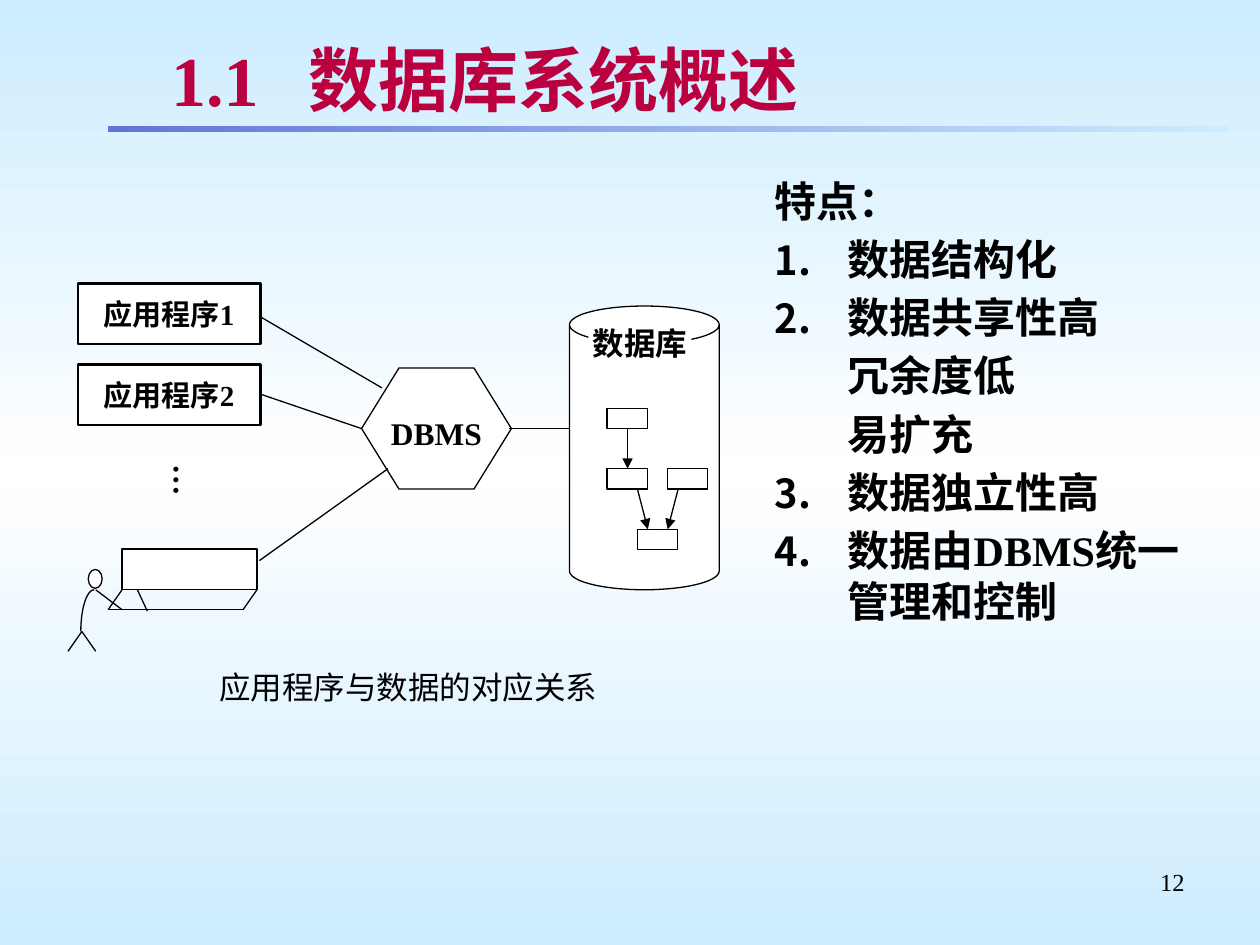
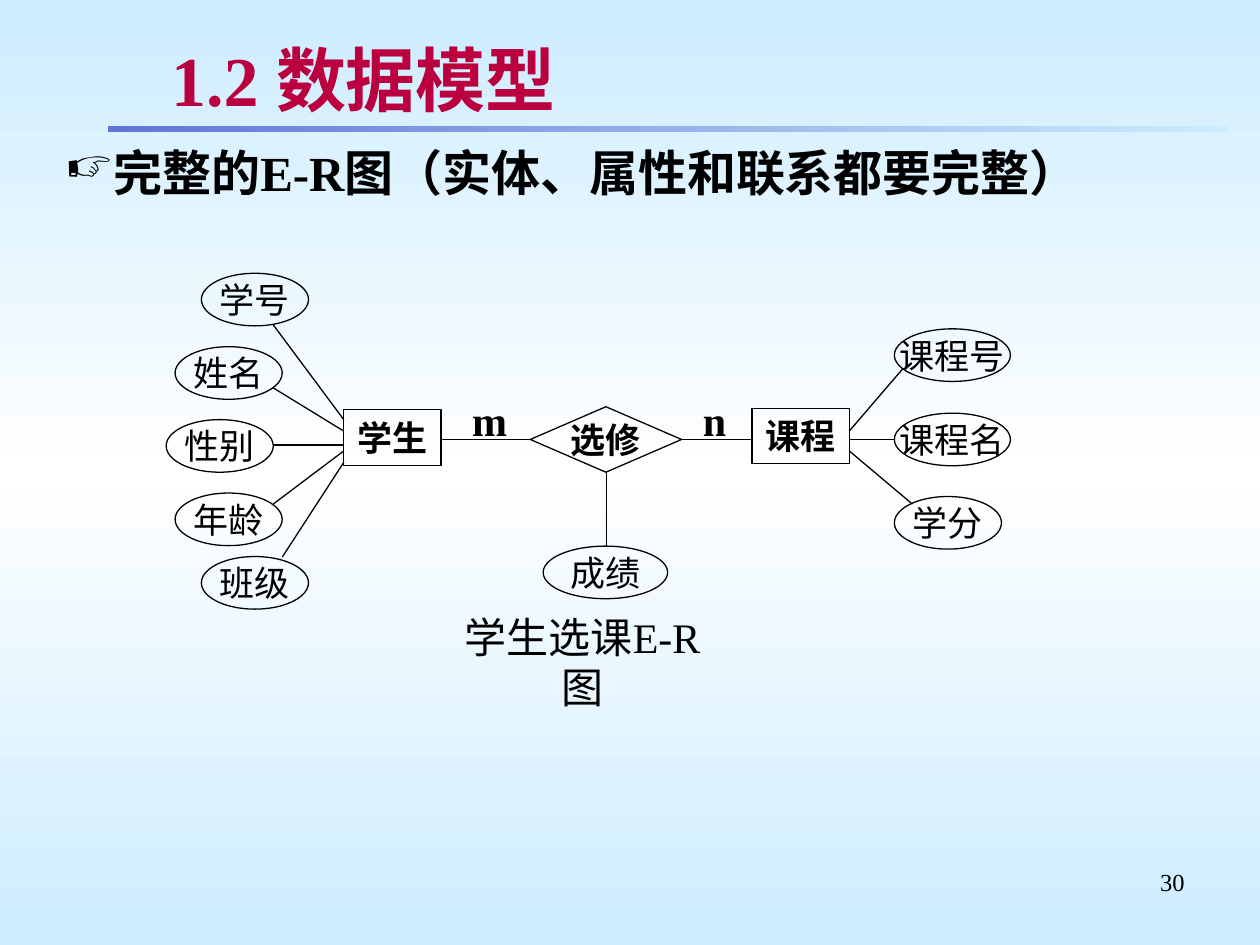
from copy import deepcopy
from math import cos, pi, sin

from lxml.etree import SubElement
from pptx import Presentation
from pptx.dml.color import RGBColor
from pptx.enum.shapes import MSO_CONNECTOR, MSO_SHAPE
from pptx.enum.text import MSO_ANCHOR, PP_ALIGN
from pptx.oxml.ns import qn
from pptx.util import Cm, Pt

BLACK = RGBColor(0x00, 0x00, 0x00)
WHITE = RGBColor(0xFF, 0xFF, 0xFF)
CRIMSON = RGBColor(0xBA, 0x00, 0x3E)
SKY = RGBColor(0xCC, 0xEC, 0xFF)
BAND_BLUE = RGBColor(0x5F, 0x76, 0xD7)
THIN = 0.75


def write(slide, text, at, kind=None, fill=None, line=THIN, size=18, font="Times New Roman",
          color=BLACK, bold=False, align=PP_ALIGN.LEFT, anchor=MSO_ANCHOR.TOP,
          insets=(0.25, 0.13, 0.25, 0.13), wrap=True, vertical=False, shadow=False,
          spacing=None, before=0, hang=0, marks=(), tab=None):
    box = [Cm(length) for length in at]
    if kind is None:
        shape = slide.shapes.add_textbox(*box)
    else:
        shape = slide.shapes.add_shape(kind, *box)
        shape.shadow.inherit = False
        if fill is None:
            shape.fill.background()
        else:
            shape.fill.solid()
            shape.fill.fore_color.rgb = fill
        if line:
            shape.line.color.rgb = BLACK
            shape.line.width = Pt(line)
        else:
            shape.line.fill.background()
    if not text:
        return shape
    frame = shape.text_frame
    frame.word_wrap = wrap
    frame.vertical_anchor = anchor
    frame.margin_left, frame.margin_top, frame.margin_right, frame.margin_bottom = map(Cm, insets)
    if vertical:
        frame._txBody.bodyPr.set("vert", "eaVert")
    for number, content in enumerate(text.split("\n")):
        paragraph = frame.add_paragraph() if number else frame.paragraphs[0]
        paragraph.alignment = align
        properties = paragraph._p.get_or_add_pPr()
        if hang:
            properties.set("marL", str(Cm(hang)))
            properties.set("indent", str(-Cm(hang)))
        if marks and marks[number]:
            tag, attributes = marks[number]
            SubElement(properties, qn("a:buSzPct"), val="95000")
            SubElement(properties, qn(tag), attributes)
        if tab:
            stops = SubElement(properties, qn("a:tabLst"))
            SubElement(stops, qn("a:tab"), pos=str(Cm(tab)), algn="l")
        if spacing:
            paragraph.line_spacing = spacing
        if number:
            paragraph.space_before = Pt(before)
        run = paragraph.add_run()
        run.text = content
        run.font.size = Pt(size)
        run.font.bold = bold
        run.font.color.rgb = color
        run.font.name = font
        if shadow:
            effects = SubElement(run._r.rPr, qn("a:effectLst"))
            outer = SubElement(effects, qn("a:outerShdw"), dist="35921", dir="2700000")
            SubElement(outer, qn("a:srgbClr"), val="C0C0C0")
            run._r.rPr.find(qn("a:latin")).addprevious(effects)
    return shape


def link(slide, x1, y1, x2, y2, arrow=False):
    connector = slide.shapes.add_connector(MSO_CONNECTOR.STRAIGHT, Cm(x1), Cm(y1), Cm(x2), Cm(y2))
    connector.line.color.rgb = BLACK
    connector.line.width = Pt(THIN)
    properties = connector._element.spPr
    if arrow:
        SubElement(properties.find(qn("a:ln")), qn("a:tailEnd"), type="triangle")
    SubElement(properties, qn("a:effectLst"))


prs = Presentation()
prs.slide_width, prs.slide_height = Cm(25.4), Cm(19.05)

master = prs.slide_master
backdrop = master.background.fill
backdrop.gradient()
backdrop.gradient_angle = 270
stop_list = master.element.find(".//" + qn("a:gsLst"))
stop_list.insert(1, deepcopy(stop_list[0]))
for stop, position, color in zip(backdrop.gradient_stops, (0, 0.5, 1), (SKY, WHITE, SKY)):
    stop.position = position
    stop.color.rgb = color

slides = []
for title, page in (("1.1\t数据库系统概述", "12"), ("1.2 数据模型", "30")):
    slide = prs.slides.add_slide(prs.slide_layouts[6])
    band = write(slide, "", (2.18, 2.54, 22.58, 0.13), MSO_SHAPE.RECTANGLE, line=0)
    band.fill.gradient()
    band.fill.gradient_angle = 0
    for stop, position, color in zip(band.fill.gradient_stops, (0, 1), (BAND_BLUE, SKY)):
        stop.position = position
        stop.color.rgb = color
    write(slide, page, (18.21, 17.35, 5.92, 1.32), size=14, align=PP_ALIGN.RIGHT)
    write(slide, title, (3.2, 0.74, 20.93, 1.7), size=40, color=CRIMSON, bold=True, shadow=True,
          anchor=MSO_ANCHOR.MIDDLE, insets=(0.25, 0.1, 0.25, 0.1), tab=2.77)
    slides.append(slide)
overview, model = slides

from_one = ("a:buAutoNum", {"type": "arabicPeriod"})
from_three = ("a:buAutoNum", {"type": "arabicPeriod", "startAt": "3"})
features = ("特点：\n数据结构化\n数据共享性高\n\t冗余度低\n\t易扩充\n"
            "数据独立性高\n数据由DBMS统一管理和控制")
write(overview, features, (15.37, 3.4, 9.19, 13.49), size=24, bold=True, before=4.5, hang=1.47,
      marks=(None, from_one, from_one, None, None, from_three, from_three))

write(overview, "", (2.46, 11.07, 2.72, 0.81), MSO_SHAPE.RECTANGLE, WHITE)
write(overview, "", (1.78, 11.48, 0.28, 0.38), MSO_SHAPE.FLOWCHART_CONNECTOR, WHITE)
terminal_and_user = (
    (2.77, 11.89, 2.97, 12.32), (2.46, 11.89, 2.18, 12.29), (5.18, 11.89, 4.9, 12.29),
    (2.18, 12.29, 4.9, 12.29), (1.65, 12.73, 1.93, 13.13), (1.65, 12.73, 1.37, 13.13),
    (1.93, 11.89, 2.46, 12.29), (2.57, 12.73, 2.57, 12.73),
)
for ends in terminal_and_user:
    link(overview, *ends)

angles = [step * pi / 24 for step in range(13)]
curve = [(Cm(1.9 - 0.27 * sin(angle)), Cm(12.73 - 0.84 * cos(angle))) for angle in angles]
outline = overview.shapes.build_freeform(*curve[0])
outline.add_line_segments(curve[1:], close=False)
user_back = outline.convert_to_shape()
user_back.shadow.inherit = False
user_back.fill.background()
user_back.line.color.rgb = BLACK
user_back.line.width = Pt(THIN)

dbms = write(overview, "DBMS", (7.29, 7.42, 3.02, 2.44), MSO_SHAPE.HEXAGON, WHITE, bold=True,
             align=PP_ALIGN.CENTER, insets=(0, 0.53, 0, 0.13))
dbms.adjustments[0] = 0.309
database = write(overview, "", (11.48, 6.17, 3.02, 5.72), MSO_SHAPE.CAN, WHITE)
database.adjustments[0] = 0.25
for left, top in ((12.24, 8.23), (12.24, 9.45), (13.46, 9.45), (12.85, 10.67)):
    write(overview, "", (left, top, 0.81, 0.41), MSO_SHAPE.RECTANGLE, WHITE)
for ends in ((12.65, 8.64, 12.65, 9.45), (12.85, 9.86, 13.06, 10.67), (13.67, 9.86, 13.46, 10.67)):
    link(overview, *ends, arrow=True)
for ends in ((10.26, 8.64, 11.48, 8.64), (4.88, 6.17, 7.7, 7.82),
             (4.88, 7.82, 7.29, 8.64), (5.23, 11.3, 7.82, 9.45)):
    link(overview, *ends)
for row, application in enumerate(("应用程序1", "应用程序2")):
    write(overview, application, (1.57, 5.72 + 1.63 * row, 3.68, 1.22), MSO_SHAPE.RECTANGLE, WHITE,
          line=1.5, size=16.6, bold=True, align=PP_ALIGN.CENTER, spacing=0.9,
          insets=(0.25, 0.33, 0.25, 0.13))
write(overview, "数据库", (11.86, 6.53, 2.08, 0.81), MSO_SHAPE.RECTANGLE, WHITE, line=0, bold=True,
      align=PP_ALIGN.CENTER, insets=(0, 0, 0, 0))
write(overview, "…", (3, 9.12, 1.27, 1.7), bold=True, vertical=True,
      insets=(0.13, 0.25, 0.13, 0.25))
write(overview, "应用程序与数据的对应关系", (4.17, 13.34, 8.13, 1.02), font="Arial", wrap=False)

write(model, "完整的E-R图（实体、属性和联系都要完整）", (1.07, 2.74, 23.5, 1.52), size=28,
      bold=True, hang=0.97, marks=(("a:buChar", {"char": "☞"}),))

for entity, left, top in (("学生", 6.93, 8.26), ("课程", 15.16, 8.23)):
    write(model, entity, (left, top, 1.96, 1.12), MSO_SHAPE.RECTANGLE, size=20, bold=True,
          align=PP_ALIGN.CENTER)
write(model, "选修", (10.69, 8.2, 3.05, 1.32), MSO_SHAPE.DIAMOND, size=20, bold=True,
      align=PP_ALIGN.CENTER, anchor=MSO_ANCHOR.MIDDLE, wrap=False)
for cardinality, left in (("m", 9.27), ("n", 13.92)):
    write(model, cardinality, (left, 7.82, 0.89, 1.27), size=24, bold=True)

attributes = (
    ("学号", 4.06, 5.51, 2.16), ("姓名", 3.53, 6.99, 2.16), ("性别", 3.35, 8.46, 2.16),
    ("年龄", 3.53, 9.94, 2.16), ("班级", 4.06, 11.22, 2.16), ("成绩", 10.95, 11.01, 2.51),
    ("课程号", 18.03, 6.63, 2.34), ("课程名", 18.03, 8.33, 2.34), ("学分", 18.03, 10.01, 2.16),
)
for attribute, left, top, width in attributes:
    write(model, attribute, (left, top, width, 1.06), MSO_SHAPE.OVAL, size=20,
          align=PP_ALIGN.CENTER, anchor=MSO_ANCHOR.MIDDLE, wrap=False)

relations = ((8.89, 8.86, 10.69, 8.86), (13.74, 8.86, 15.16, 8.86), (12.22, 9.52, 12.22, 11))
student_links = ((5.51, 6.55, 6.93, 8.46), (5.51, 7.82, 6.93, 8.69), (5.51, 8.97, 6.93, 8.97),
                 (5.51, 10.16, 6.93, 9.09), (5.69, 11.23, 6.93, 9.32))
course_links = ((17.12, 8.69, 18.21, 7.42), (17.12, 8.86, 18.03, 8.86), (17.12, 9.09, 18.39, 10.16))
for ends in relations + student_links + course_links:
    link(model, *ends)
write(model, "学生选课E-R图", (8.71, 12.7, 6.07, 1.27), size=24, align=PP_ALIGN.CENTER,
      anchor=MSO_ANCHOR.MIDDLE, wrap=False)

prs.save("out.pptx")
